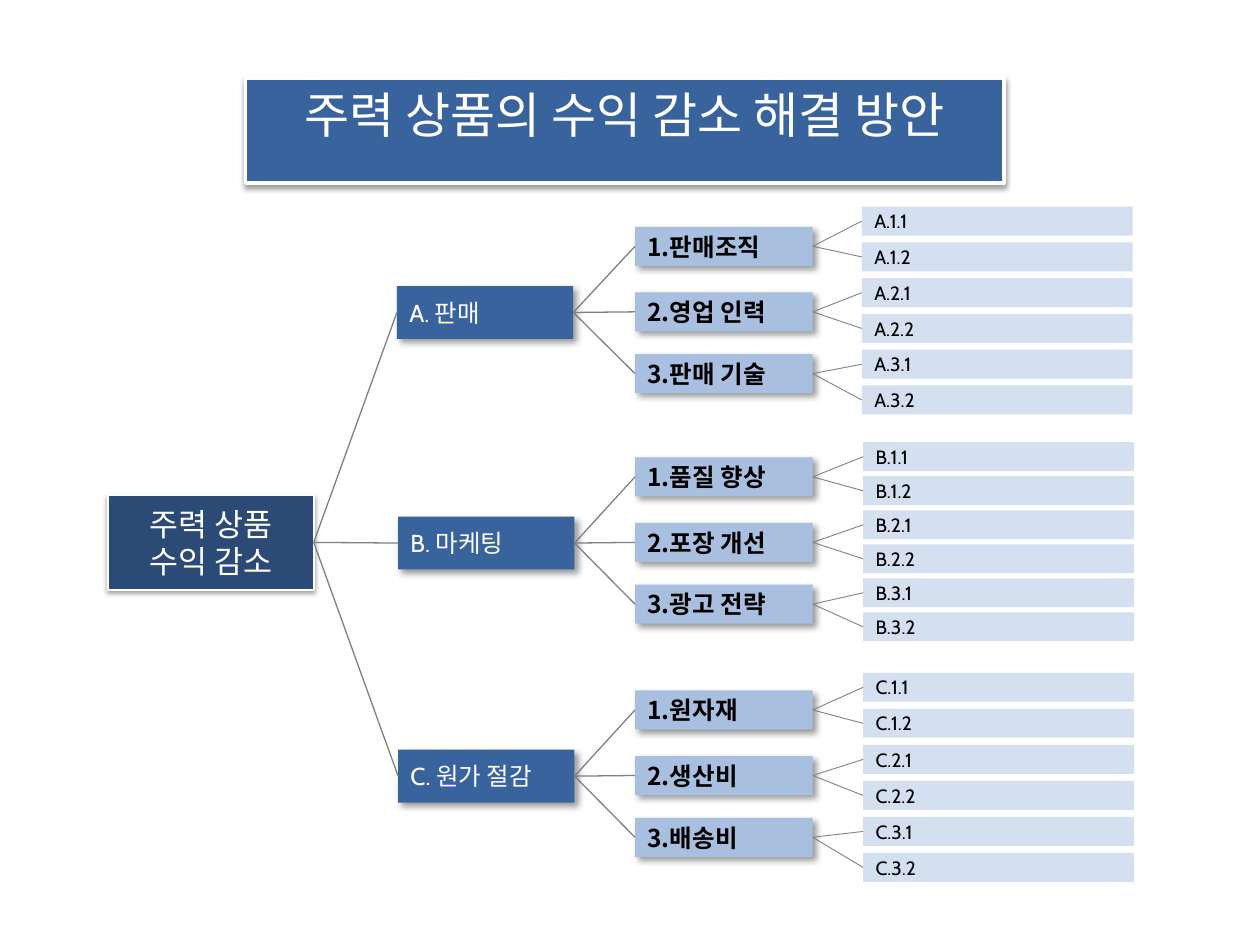
"""Builds an issue tree slide on how to fix falling profit of the main product."""
from lxml.etree import SubElement
from pptx import Presentation
from pptx.dml.color import RGBColor
from pptx.enum.shapes import MSO_CONNECTOR, MSO_SHAPE
from pptx.enum.text import MSO_ANCHOR, MSO_AUTO_SIZE, PP_ALIGN
from pptx.oxml.ns import qn
from pptx.util import Inches, Pt

COLORS = {
    "navy": "2B4A76",
    "blue": "39639D",
    "light": "A8BFDF",
    "pale": "D4DFEF",
    "gray": "808080",
    "white": "FFFFFF",
    "black": "000000",
}
LATIN, KOREAN = "Cabin", "Noto Sans CJK KR"
FRAMED_SHADOW = (38, 3.1, 1.6, 90)
BOX_SHADOW = (40, 4, 3, 45)
CAUSE_OFFSETS = (-0.68, -0.16, 0.33)

BRANCHES = [
    {"name": "A. 판매", "left": 3.15, "middle": 2.48, "actions": (6.84, 1.64, 3.06),
     "causes": ["1.판매조직", "2.영업 인력", "3.판매 기술"]},
    {"name": "B. 마케팅", "left": 3.16, "middle": 4.31, "actions": (6.85, 3.51, 4.86),
     "causes": ["1.품질 향상", "2.포장 개선", "3.광고 전략"]},
    {"name": "C. 원가 절감", "left": 3.16, "middle": 6.16, "actions": (6.85, 5.34, 6.77),
     "causes": ["1.원자재", "2.생산비", "3.배송비"]},
]


def rgb(color):
    return RGBColor.from_string(COLORS[color])


def style_box(box, fill, border=None, shadow=None):
    box.fill.solid()
    box.fill.fore_color.rgb = rgb(fill)
    if border:
        box.line.color.rgb = rgb("white")
        box.line.width = Pt(border)
    else:
        box.line.fill.background()
    box.shadow.inherit = False
    if shadow:
        opacity, blur, distance, angle = shadow
        effects = box._element.spPr.find(qn("a:effectLst"))
        outer = SubElement(effects, qn("a:outerShdw"), blurRad=str(Pt(blur)),
                           dist=str(Pt(distance)), dir=str(angle * 60000),
                           algn="ctr", rotWithShape="0")
        tint = SubElement(outer, qn("a:srgbClr"), val=COLORS["black"])
        SubElement(tint, qn("a:alpha"), val=str(opacity * 1000))


def write(box, lines, size, color, font=LATIN, bold=False, align=PP_ALIGN.LEFT):
    paragraph = box.text_frame.paragraphs[0]
    paragraph.alignment = align
    for number, line in enumerate(lines):
        if number:
            paragraph.add_line_break()
        run = paragraph.add_run()
        run.text = line
        run.font.size = Pt(size)
        run.font.bold = bold
        run.font.color.rgb = rgb(color)
        run.font.name = font
        SubElement(run.font._element, qn("a:ea"), typeface=KOREAN)


def add_box(slide, place, fill, border=None, shadow=None):
    box = slide.shapes.add_shape(MSO_SHAPE.RECTANGLE, *map(Inches, place))
    style_box(box, fill, border, shadow)
    box.text_frame.word_wrap = False
    box.text_frame.vertical_anchor = MSO_ANCHOR.MIDDLE
    return box


def link(slide, parent, child, width):
    connector = slide.shapes.add_connector(MSO_CONNECTOR.STRAIGHT, 0, 0, 0, 0)
    connector.begin_connect(parent, 3)
    connector.end_connect(child, 1)
    connector.line.color.rgb = rgb("gray")
    connector.line.width = Pt(width)
    SubElement(connector._element.spPr, qn("a:effectLst"))


def add_title(slide):
    title = slide.shapes.title
    title.left, title.top, title.width, title.height = map(Inches, (1.95, 0.62, 6.02, 0.57))
    style_box(title, "blue", 2, FRAMED_SHADOW)
    title.text_frame.vertical_anchor = MSO_ANCHOR.TOP
    title.text_frame.auto_size = MSO_AUTO_SIZE.SHAPE_TO_FIT_TEXT
    write(title, ["주력 상품의 수익 감소 해결 방안"], 28, "white", KOREAN, align=PP_ALIGN.CENTER)


def add_actions(slide, cause, letter, cause_number, area):
    left, first, last = area
    step = (last - first) / 5
    for action_number in (1, 2):
        row = 2 * (cause_number - 1) + action_number - 1
        action = add_box(slide, (left, first + row * step, 2.15, 0.23), "pale")
        write(action, [f"{letter}.{cause_number}.{action_number}"], 11, "black")
        link(slide, cause, action, 0.5)


def add_branch(slide, problem, branch):
    place = (branch["left"], branch["middle"] - 0.21, 1.4, 0.42)
    area = add_box(slide, place, "blue", shadow=BOX_SHADOW)
    write(area, [branch["name"]], 14, "white")
    link(slide, problem, area, 0.75)
    for number, (name, offset) in enumerate(zip(branch["causes"], CAUSE_OFFSETS), 1):
        place = (5.04, branch["middle"] + offset, 1.41, 0.31)
        cause = add_box(slide, place, "light", shadow=BOX_SHADOW)
        write(cause, [name], 14, "black", KOREAN, bold=True)
        link(slide, area, cause, 0.75)
        add_actions(slide, cause, branch["name"][0], number, branch["actions"])


def main():
    deck = Presentation()
    deck.slide_width, deck.slide_height = Inches(10), Inches(7.5)
    slide = deck.slides.add_slide(deck.slide_layouts[5])
    add_title(slide)
    problem = add_box(slide, (0.86, 3.93, 1.63, 0.75), "navy", 1.25, FRAMED_SHADOW)
    write(problem, ["주력 상품", "수익 감소"], 18, "white", align=PP_ALIGN.CENTER)
    for branch in BRANCHES:
        add_branch(slide, problem, branch)
    deck.save("out.pptx")


if __name__ == "__main__":
    main()
